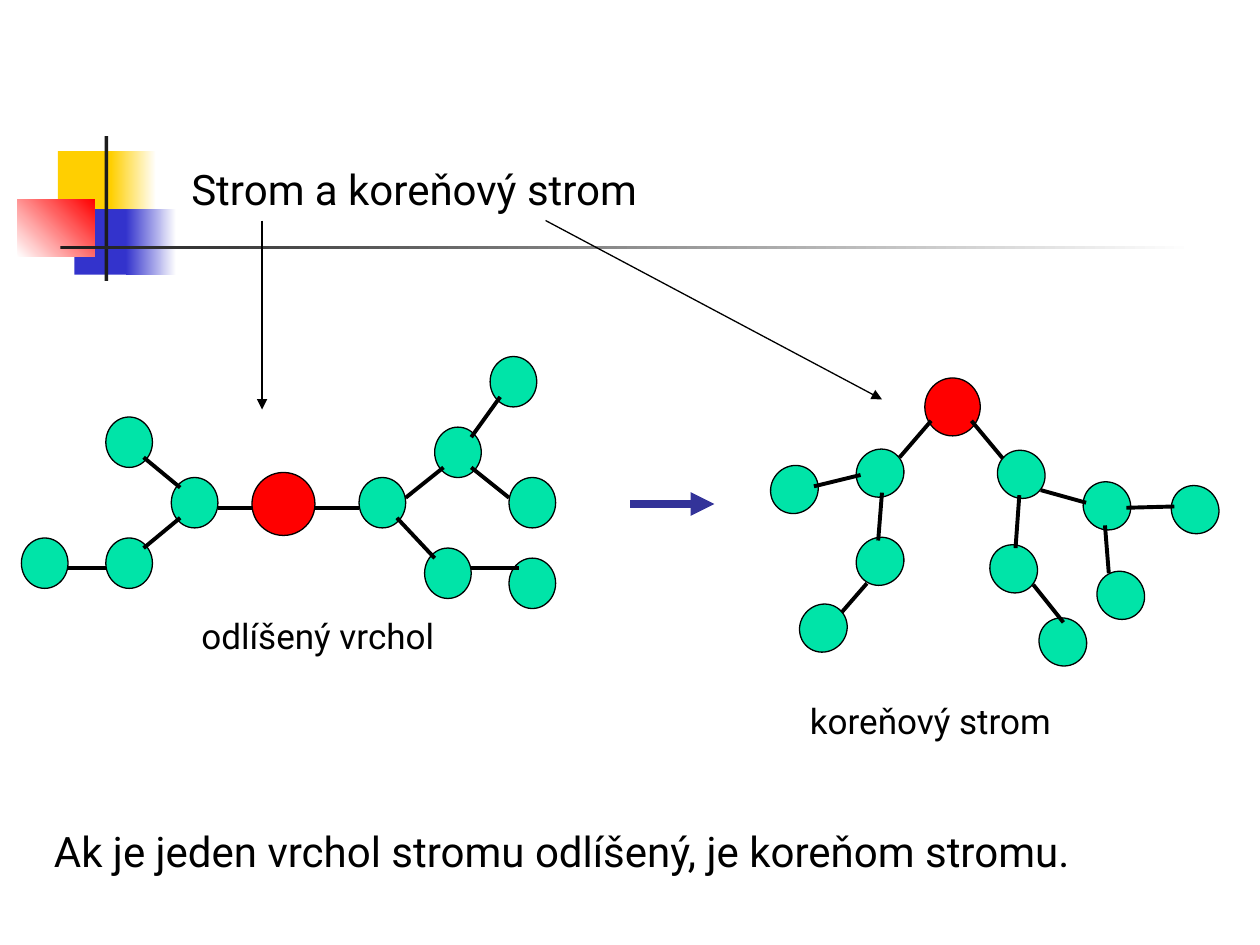
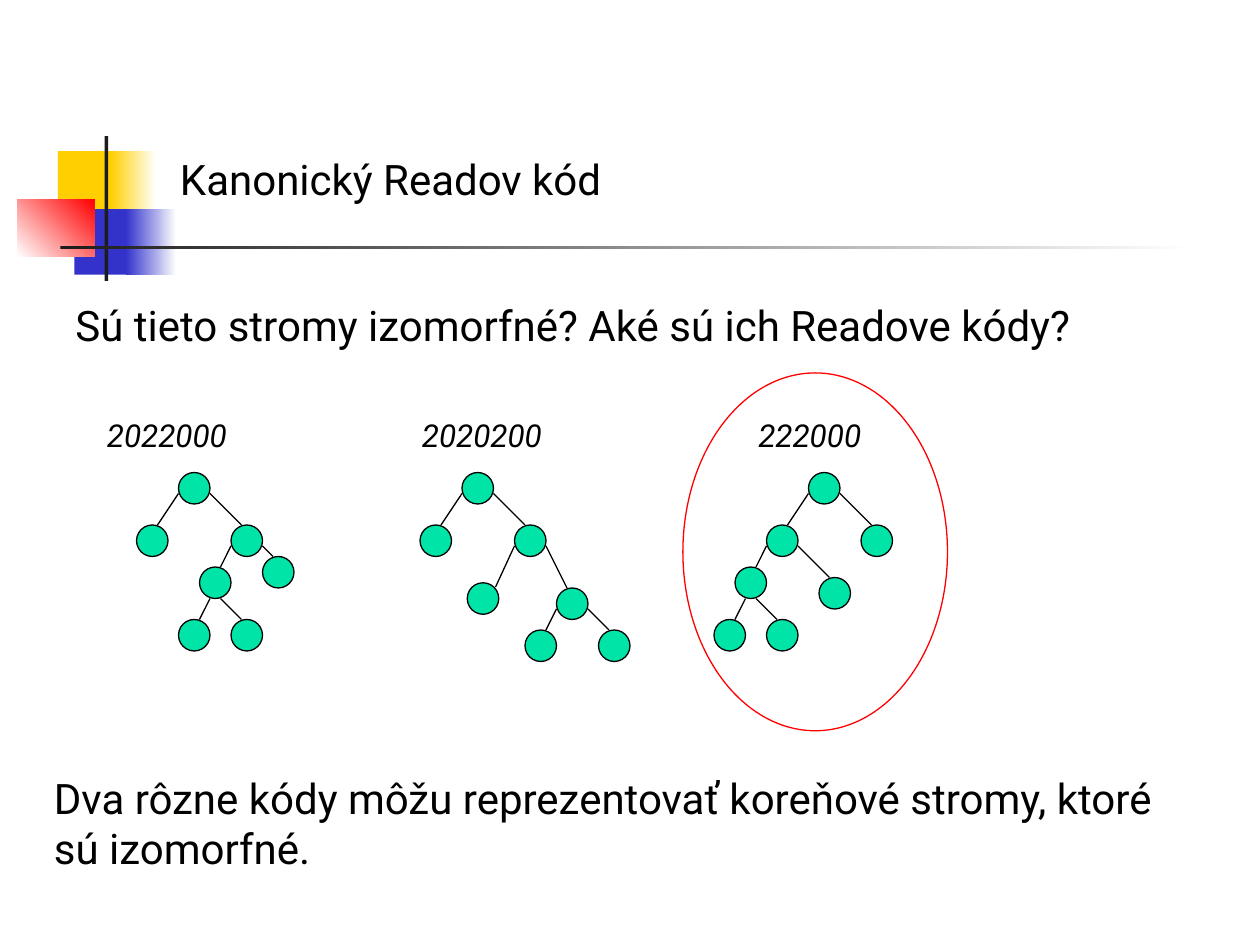
from lxml import etree
from pptx import Presentation
from pptx.dml.color import RGBColor
from pptx.enum.shapes import MSO_CONNECTOR, MSO_SHAPE
from pptx.oxml.ns import qn
from pptx.util import Cm, Pt

LINE = MSO_CONNECTOR.STRAIGHT
OVAL = MSO_SHAPE.OVAL
RECTANGLE = MSO_SHAPE.RECTANGLE

CM_PER_INCH = 2.54
GRID = 1 / 12
FONT = "Roboto"
BLACK, WHITE, RED, GREEN = "000000", "FFFFFF", "FF0000", "00E4A8"
YELLOW, BLUE, CHARCOAL, ARROW_BLUE = "FFCF01", "3333CC", "1C1C1C", "333399"

BANDS = [
    ((0.46, 1.2, 0.48, 0.52), [YELLOW], 0),
    ((0.88, 1.2, 0.36, 0.52), [YELLOW, WHITE], 0),
    ((0.59, 1.66, 0.46, 0.52), [BLUE], 0),
    ((1, 1.66, 0.4, 0.52), [BLUE, WHITE], 0),
    ((0.14, 1.58, 0.61, 0.46), [WHITE, RED], 45),
    ((0.83, 1.08, 0.03, 1.15), [CHARCOAL], 0),
    ((0.48, 1.95, 9, 0.03), [CHARCOAL, WHITE], 0),
]

FREE_TREE_NODES = [
    (2.11, 3.79), (1.36, 3.79), (0.84, 3.31), (0.84, 4.27), (0.17, 4.27), (2.85, 3.79),
    (3.45, 3.39), (3.37, 4.35), (3.89, 2.83), (4.04, 3.79), (4.04, 4.43),
]
FREE_TREE_EDGES = [
    ((1.73, 4.03), (2.1, 4.03)), ((1.43, 3.87), (1.14, 3.63)),
    ((1.43, 4.11), (1.14, 4.35)), ((0.84, 4.51), (0.54, 4.51)),
    ((2.48, 4.03), (2.85, 4.03)), ((3.22, 3.95), (3.52, 3.71)),
    ((3.15, 4.11), (3.45, 4.43)), ((3.97, 3.15), (3.74, 3.47)),
    ((3.74, 3.71), (4.04, 3.95)), ((3.74, 4.51), (4.12, 4.51)),
]
ROOTED_LEFT_NODES = [(6.79, 3.57), (6.11, 3.7), (6.79, 4.27), (6.34, 4.8)]
ROOTED_RIGHT_NODES = [
    (7.91, 3.58), (8.59, 3.83), (7.85, 4.33), (9.29, 3.86), (8.7, 4.54), (8.24, 4.91),
]
ROOTED_EDGES = [
    ((7.14, 3.63), (7.39, 3.34)), ((6.83, 3.77), (6.46, 3.86)),
    ((7, 3.91), (6.97, 4.29)), ((6.88, 4.63), (6.68, 4.86)),
    ((7.71, 3.34), (7.96, 3.64)), ((8.26, 3.89), (8.62, 3.99)),
    ((8.09, 3.93), (8.06, 4.35)), ((9.32, 4.02), (8.94, 4.03)),
    ((8.77, 4.17), (8.8, 4.55)), ((8.2, 4.64), (8.44, 4.94)),
]

NODE_SIZE = 3
LEFT, RIGHT, BOTTOM_LEFT, BOTTOM_RIGHT = (0, 2), (3, 2), (1, 3), (2, 3)
TOP_LEFT, TOP_RIGHT, UPPER_RIGHT = (1, 0), (2, 0), (2.7, 0.4)
CODED_TREES = [
    ("2022000", (0.75, 3.25),
     [(17, 45), (13, 50), (22, 50), (19, 54), (25, 53), (17, 59), (22, 59)],
     [(0, 1, LEFT, TOP_RIGHT), (0, 2, RIGHT, TOP_LEFT),
      (2, 3, LEFT, TOP_RIGHT), (2, 4, RIGHT, TOP_LEFT),
      (3, 5, BOTTOM_LEFT, TOP_RIGHT), (3, 6, BOTTOM_RIGHT, TOP_LEFT)]),
    ("2020200", (3.25, 3.25),
     [(44, 45), (40, 50), (49, 50), (44.5, 55.5), (53, 56), (50, 60), (57, 60)],
     [(0, 1, LEFT, TOP_RIGHT), (0, 2, RIGHT, TOP_LEFT),
      (2, 3, LEFT, UPPER_RIGHT), (2, 4, RIGHT, TOP_LEFT),
      (4, 5, LEFT, TOP_RIGHT), (4, 6, RIGHT, TOP_LEFT)]),
    ("222000", (5.92, 3.25),
     [(77, 45), (73, 50), (82, 50), (70, 54), (78, 55), (68, 59), (73, 59)],
     [(0, 1, LEFT, TOP_RIGHT), (0, 2, RIGHT, TOP_LEFT),
      (1, 3, LEFT, TOP_RIGHT), (1, 4, RIGHT, TOP_LEFT),
      (3, 5, BOTTOM_LEFT, TOP_RIGHT), (3, 6, BOTTOM_RIGHT, TOP_LEFT)]),
]


def color(hex_string):
    """Return the colour for a hex string."""
    return RGBColor.from_string(hex_string)


def lengths(*inches):
    """Return lengths in centimetres for values in inches."""
    return [Cm(value * CM_PER_INCH) for value in inches]


class Deck:
    """Hold the shared style and the current slide."""

    def __init__(self):
        """Start a presentation of 10 by 7.5 inches."""
        self.presentation = Presentation()
        self.presentation.slide_width, self.presentation.slide_height = lengths(10, 7.5)
        self.slide = None

    def new_slide(self):
        """Add a blank slide with the decorative bands."""
        self.slide = self.presentation.slides.add_slide(self.presentation.slide_layouts[6])
        for box, colors, angle in BANDS:
            self.band(box, colors, angle)

    def band(self, box, colors, angle):
        """Draw a rectangle with one colour or a gradient of two."""
        shape = self.slide.shapes.add_shape(RECTANGLE, *lengths(*box))
        shape.shadow.inherit = False
        shape.line.fill.background()
        if len(colors) == 1:
            shape.fill.solid()
            shape.fill.fore_color.rgb = color(colors[0])
            return
        shape.fill.gradient()
        shape.fill.gradient_angle = angle
        for position, (stop, stop_color) in enumerate(zip(shape.fill.gradient_stops, colors)):
            stop.color.rgb = color(stop_color)
            stop.position = position

    def ellipse(self, box, fill=GREEN, line=BLACK, rotation=0):
        """Draw an outlined ellipse, hollow when there is no fill."""
        shape = self.slide.shapes.add_shape(OVAL, *lengths(*box))
        shape.shadow.inherit = False
        shape.rotation = rotation
        shape.line.color.rgb = color(line)
        shape.line.width = Pt(0.75)
        if fill:
            shape.fill.solid()
            shape.fill.fore_color.rgb = color(fill)
        else:
            shape.fill.background()

    def nodes(self, corners, width, height, rotation=0):
        """Draw equal tree nodes at the given corners."""
        for left, top in corners:
            self.ellipse((left, top, width, height), rotation=rotation)

    def line(self, start, end, width=0.75, line_color=BLACK, arrow=False):
        """Draw a straight line, with an arrowhead on request."""
        connector = self.slide.shapes.add_connector(LINE, *lengths(*start, *end))
        connector.line.color.rgb = color(line_color)
        connector.line.width = Pt(width)
        properties = connector.element.spPr
        if arrow:
            etree.SubElement(properties.find(qn("a:ln")), qn("a:tailEnd"), type="triangle")
        etree.SubElement(properties, qn("a:effectLst"))

    def edges(self, ends):
        """Draw thick tree edges."""
        for start, end in ends:
            self.line(start, end, 2.25)

    def text(self, box, words, size=24, italic=False):
        """Write one paragraph in a wrapping text box."""
        text_frame = self.slide.shapes.add_textbox(*lengths(*box)).text_frame
        text_frame.word_wrap = True
        text_frame.text = words
        for run in text_frame.paragraphs[0].runs:
            run.font.name = FONT
            run.font.size = Pt(size)
            run.font.italic = italic
            run.font.color.rgb = color(BLACK)

    def coded_tree(self, code, corner, corners, branches):
        """Draw a tree on the grid below its code."""
        scaled = [(left * GRID, top * GRID) for left, top in corners]
        self.nodes(scaled, NODE_SIZE * GRID, NODE_SIZE * GRID)
        for parent, child, leave, arrive in branches:
            start = [(a + b) * GRID for a, b in zip(corners[parent], leave)]
            end = [(a + b) * GRID for a, b in zip(corners[child], arrive)]
            self.line(start, end)
        self.text((*corner, 1.25, 0.4), code, 18, True)


def rooted_tree_slide(deck):
    """Build the slide on trees and rooted trees."""
    deck.new_slide()
    deck.text((1.42, 1.25, 6.17, 0.5), "Strom a koreňový strom")
    deck.nodes(FREE_TREE_NODES, 0.37, 0.4)
    deck.edges(FREE_TREE_EDGES)
    deck.ellipse((2, 3.75, 0.5, 0.5), RED)
    deck.text((1.5, 4.83, 2.25, 0.44), "odlíšený vrchol", 20)
    deck.line((5, 4), (5.67, 4), 4.5, ARROW_BLUE, True)
    deck.ellipse((7.34, 3, 0.44, 0.46), RED)
    deck.nodes(ROOTED_LEFT_NODES, 0.39, 0.37, 310.1)
    deck.nodes(ROOTED_RIGHT_NODES, 0.39, 0.37, 50.7)
    deck.edges(ROOTED_EDGES)
    deck.text((6.33, 5.5, 2.25, 0.77), "koreňový strom", 20)
    deck.text((0.33, 6.5, 9, 0.5), "Ak je jeden vrchol stromu odlíšený, je koreňom stromu.")
    deck.line((2.08, 1.75), (2.08, 3.25), arrow=True)
    deck.line((4.33, 1.75), (7, 3.17), arrow=True)


def read_code_slide(deck):
    """Build the slide on the canonical Read code."""
    deck.new_slide()
    deck.text((1.33, 1.17, 7.75, 0.5), "Kanonický Readov kód")
    deck.text((0.33, 6.08, 9.17, 0.9),
              "Dva rôzne kódy môžu reprezentovať koreňové stromy, ktoré sú izomorfné.")
    deck.text((0.5, 2.33, 8.92, 0.5), "Sú tieto stromy izomorfné? Aké sú ich Readove kódy?")
    for tree in CODED_TREES:
        deck.coded_tree(*tree)
    deck.ellipse((5.42, 2.96, 2.1, 2.84), None, RED)


def main():
    """Build both slides and save them."""
    deck = Deck()
    rooted_tree_slide(deck)
    read_code_slide(deck)
    deck.presentation.save("out.pptx")


if __name__ == "__main__":
    main()
